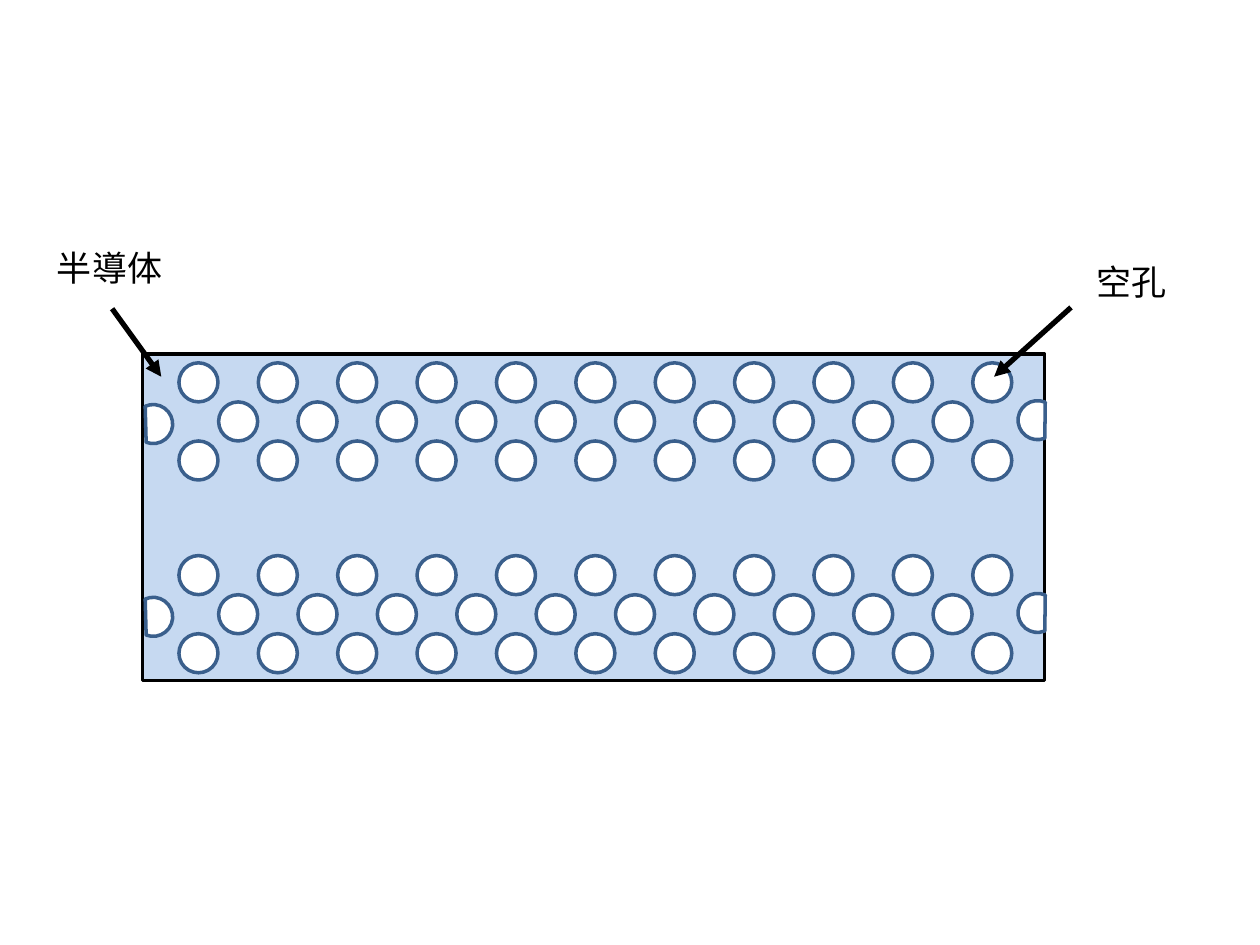
"""Draw a semiconductor slab with two bands of staggered air holes."""
import pptx
import pptx.dml.color
import pptx.enum.shapes
import pptx.enum.text
import pptx.oxml
import pptx.oxml.ns
import pptx.util

COLORS = {"slab": "C6D9F1", "hole": "FFFFFF", "rim": "3A5F8C", "ink": "000000"}
SHAPE = pptx.enum.shapes.MSO_SHAPE
WIDTH, HEIGHT = 10, 7.5
HOLE = 0.31
PITCH = 0.63
ROW_STEP = 0.31
FIRST_LEFT = 1.42
COLUMNS = 11
BAND_TOPS = (4.41, 2.88)


def inches(*lengths):
    return [pptx.util.Inches(length) for length in lengths]


def rgb(name):
    return pptx.dml.color.RGBColor.from_string(COLORS[name])


def add_filled(shapes, kind, frame, fill, line, rotation=0):
    shape = shapes.add_shape(kind, *inches(*frame))
    shape.shadow.inherit = False
    shape.rotation = rotation
    shape.fill.solid()
    shape.fill.fore_color.rgb = rgb(fill)
    shape.line.color.rgb = rgb(line)
    shape.line.width = pptx.util.Pt(2)


def add_hole(shapes, left, top, kind=SHAPE.OVAL, rotation=0):
    add_filled(shapes, kind, (left, top, HOLE, HOLE), "hole", "rim", rotation)


def add_band(shapes, top):
    for row in range(3):
        stagger = row % 2
        for column in range(COLUMNS - stagger):
            left = FIRST_LEFT + (column + stagger / 2) * PITCH
            add_hole(shapes, left, top + row * ROW_STEP)
    add_hole(shapes, 8.08, top + 0.3, SHAPE.CHORD, 23.2)
    add_hole(shapes, 1.06, top + 0.33, SHAPE.CHORD, 201)


def add_arrow(shapes, start, end):
    arrow = shapes.add_connector(
        pptx.enum.shapes.MSO_CONNECTOR.STRAIGHT, *inches(*start, *end))
    arrow.line.color.rgb = rgb("ink")
    arrow.line.width = pptx.util.Pt(3)
    head = pptx.oxml.parse_xml(
        f'<a:tailEnd {pptx.oxml.ns.nsdecls("a")} type="triangle"/>')
    arrow.line._get_or_add_ln().append(head)
    effects = pptx.oxml.parse_xml(f'<a:effectLst {pptx.oxml.ns.nsdecls("a")}/>')
    arrow._element.spPr.append(effects)


def add_label(shapes, text, frame):
    box = shapes.add_textbox(*inches(*frame))
    box.text_frame.word_wrap = True
    para = box.text_frame.paragraphs[0]
    para.alignment = pptx.enum.text.PP_ALIGN.CENTER
    span = para.add_run()
    span.text = text
    span.font.size = pptx.util.Pt(20)
    span.font.name = "Calibri"
    span.font.color.rgb = rgb("ink")


def main():
    deck = pptx.Presentation()
    deck.slide_width, deck.slide_height = inches(WIDTH, HEIGHT)
    page = deck.slides.add_slide(deck.slide_layouts[6])
    shapes = page.shapes.add_group_shape().shapes
    add_filled(shapes, SHAPE.RECTANGLE, (1.13, 2.81, 7.16, 2.59), "slab", "ink")
    for top in BAND_TOPS:
        add_band(shapes, top)
    add_arrow(shapes, (8.5, 2.44), (7.89, 2.99))
    add_label(shapes, "空孔", (8.45, 2.02, 1.06, 0.58))
    add_arrow(shapes, (0.89, 2.45), (1.28, 2.99))
    add_label(shapes, "半導体", (0.17, 1.91, 1.4, 0.58))
    deck.save("out.pptx")


if __name__ == "__main__":
    main()
